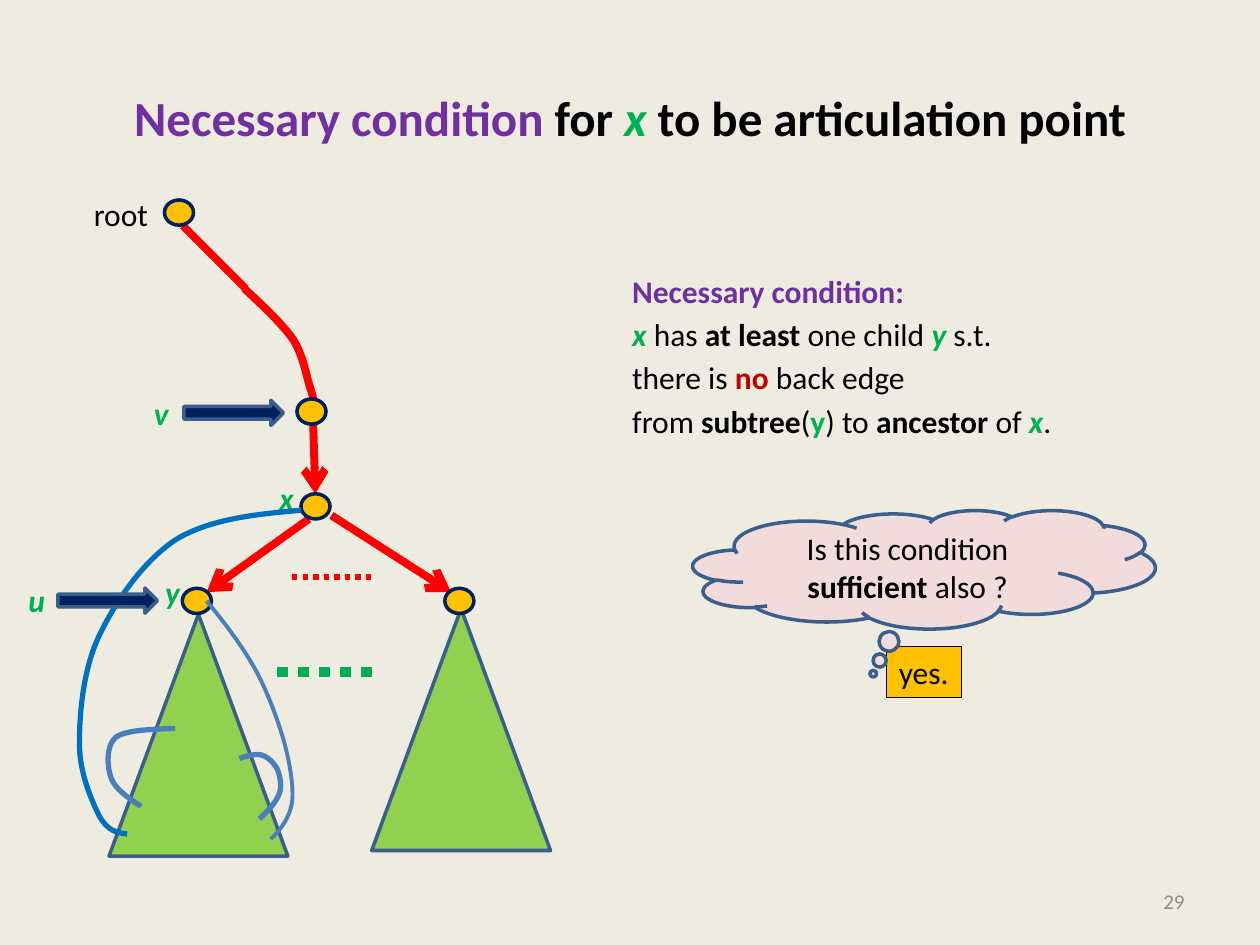
from lxml import etree
from pptx import Presentation
from pptx import util as u
from pptx.dml.color import RGBColor
from pptx.enum import dml, shapes, text
from pptx.oxml.ns import qn

Pt = u.Pt
KIND = shapes.MSO_SHAPE


class Theme:
    font = "Calibri"
    back, ink, grey = "EEECE1", "000000", "8C8C8C"
    gold, navy, rim = "FFC000", "002060", "3A5F8C"
    leaf, pink = "92D050", "F2DCDB"
    red, dark, green, violet = "FF0000", "C00000", "00B050", "7030A0"
    blue, steel = "0070C0", "4B7EBC"
    head, body, small = 28, 18, 12


T = Theme

# Text runs: (words, style letters, colour); b = bold, i = italic
TITLE = [[("Necessary condition ", "b", T.violet), ("for ", "b", T.ink),
          ("x ", "bi", T.green), ("to be articulation point", "b", T.ink)]]
CLAIM = [
    [("Necessary condition:", "b", T.violet)],
    [("x", "bi", T.green), (" has ", "", T.ink), ("at least ", "b", T.ink),
     ("one child ", "", T.ink), ("y ", "bi", T.green), ("s.t.", "", T.ink)],
    [("there is ", "", T.ink), ("no", "b", T.dark), (" back edge", "", T.ink)],
    [("from ", "", T.ink), ("subtree", "b", T.ink), ("(", "", T.ink),
     ("y", "b", T.green), (") to ", "", T.ink), ("ancestor", "b", T.ink),
     (" of ", "", T.ink), ("x", "bi", T.green), (".", "", T.ink)],
]
ASK = [[("Is this condition ", "", T.ink), ("sufficient ", "b", T.ink),
        ("also ?", "", T.ink)]]

# Tree parts: left, top (and width where it varies)
NODES = [(94, 114.3), (169.7, 228), (172, 282.2), (104.2, 336.2), (254.2, 336.2)]
TREES = [(62.3, 351), (212.4, 347.8)]
MARKS = [(33.1, 336), (105.1, 228.7)]
NAMES = [("x", 152.6, 270, 23), ("y", 87.3, 324, 23),
         ("u", 9.2, 328.2, 24.5), ("v", 80.8, 221.6, 23)]

# Lines: start, end, colour, weight, arrowhead, dotted
EDGES = [
    ((104.4, 128.9), (140.4, 164.9), T.red, 4.5, False, False),
    ((178.6, 230.4), (180.2, 282.2), T.red, 4.5, True, False),
    ((176.4, 296.6), (118.1, 338.4), T.red, 4.5, True, False),
    ((189.4, 294.5), (257.8, 338.4), T.red, 4.5, True, False),
    ((167, 329.8), (212.4, 329.8), T.red, 3, False, True),
    ((158.4, 384), (216.7, 384), T.green, 6, False, True),
]

# Curves: a start, then three points for each cubic piece
PATH = [(139.7, 164.9), (150.5, 175), (161.3, 185), (167.8, 194.4),
        (173.5, 203.8), (175, 214.6), (177.1, 221),
        (179.3, 227.5), (179.3, 230.4), (180, 233.3)]
BACKS = [
    ([(82, 460.7), (74.5, 456.2), (66.3, 451.6), (63.8, 445.2),
      (61.2, 438.9), (59.8, 427.4), (65.2, 422.1),
      (71.4, 417.4), (85.1, 416.5), (98.7, 415)], T.steel, 3, 3.5),
    ([(148.3, 468), (153.4, 463), (158.4, 457.9), (159.8, 452.9),
      (161.3, 448.6), (159.8, 442.8), (158.4, 439.2),
      (156.2, 435.6), (152.6, 432), (149, 431.3),
      (145.4, 430.6), (141.1, 432), (136.8, 433.4)], T.steel, 3, 0),
    ([(154.8, 479.5), (160.6, 473.8), (165.6, 467.3), (167, 457.9),
      (167.8, 448.6), (165.6, 435.6), (162, 422.6),
      (158.4, 410.4), (152.6, 394.6), (145.4, 381.6),
      (137.5, 367.9), (128.2, 355.7), (118.1, 343.4)], T.steel, 2.25, 0),
    ([(72.7, 476.6), (67, 475.9), (61.9, 475.2), (56.9, 466.6),
      (52.6, 457.9), (45.4, 442.1), (45.4, 424.8),
      (45.4, 407.5), (47.5, 382.3), (56.9, 362.9),
      (66.2, 343.4), (82.1, 320.4), (100.8, 308.2),
      (120.2, 296.6), (146.2, 293.8), (172.1, 291.6)], T.blue, 3, 0),
]

deck = Presentation()
deck.slide_width, deck.slide_height = Pt(720), Pt(540)
slide = deck.slides.add_slide(deck.slide_layouts[6])
slide.background.fill.solid()
slide.background.fill.fore_color.rgb = RGBColor.from_string(T.back)
pool = slide.shapes


def write(shape, paras, size=T.body, align="LEFT", anchor="TOP", wrap=True,
          gap=0, inset=3.6):
    frame = shape.text_frame
    frame.word_wrap = wrap
    frame.margin_top = Pt(inset)
    frame.vertical_anchor = getattr(text.MSO_ANCHOR, anchor)
    for n, runs in enumerate(paras):
        para = frame.add_paragraph() if n else frame.paragraphs[0]
        para.alignment = getattr(text.PP_ALIGN, align)
        para.space_before = Pt(gap if n else 0)
        for words, style, color in runs:
            run = para.add_run()
            run.text = words
            font = run.font
            font.name, font.size = T.font, Pt(size)
            font.bold, font.italic = "b" in style, "i" in style
            font.color.rgb = RGBColor.from_string(color)


def label(box, paras, **opts):
    write(pool.add_textbox(*map(Pt, box)), paras, **opts)


def stroke(line, color, width):
    line.color.rgb = RGBColor.from_string(color)
    line.width = Pt(width)


def block(kind, box, fill, edge=T.rim, width=2):
    shape = pool.add_shape(kind, *map(Pt, box))
    shape.shadow.inherit = False
    shape.fill.solid()
    shape.fill.fore_color.rgb = RGBColor.from_string(fill)
    stroke(shape.line, edge, width)
    return shape


def link(start, end, color, width, arrow, dots):
    wire = pool.add_connector(shapes.MSO_CONNECTOR.STRAIGHT, *map(Pt, start + end))
    stroke(wire.line, color, width)
    if dots:
        wire.line.dash_style = dml.MSO_LINE.ROUND_DOT
    if arrow:
        etree.SubElement(wire.line._get_or_add_ln(), qn("a:tailEnd"), type="arrow")
    etree.SubElement(wire._element.spPr, qn("a:effectLst"))


def curve(pts, color, width, turn=0):
    """Outline the control points, then join each three into a cubic piece."""
    pen = pool.build_freeform(*map(Pt, pts[0]))
    pen.add_line_segments([tuple(map(Pt, p)) for p in pts[1:]], close=False)
    shape = pen.convert_to_shape()
    legs = list(shape._element.iter(qn("a:lnTo")))
    for k in range(0, len(legs), 3):
        piece = etree.Element(qn("a:cubicBezTo"))
        legs[k].addprevious(piece)
        for leg in legs[k:k + 3]:
            piece.append(leg[0])
            leg.getparent().remove(leg)
    shape.shadow.inherit = False
    shape.fill.background()
    stroke(shape.line, color, width)
    shape.rotation = turn


reply = block(KIND.RECTANGLE, (506.5, 369.4, 43, 29), T.gold, T.ink, 0.75)
write(reply, [[("yes.", "", T.ink)]], wrap=False)
label((36, 21.6, 648, 90), TITLE, size=T.head, align="CENTER", anchor="MIDDLE")
label((354.2, 126, 347.8, 356.4), CLAIM, gap=3.2, inset=29.2)
label((516.2, 500.4, 167.8, 29), [[("29", "", T.grey)]],
      size=T.small, align="RIGHT", anchor="MIDDLE")

for left, top in TREES:
    block(KIND.ISOSCELES_TRIANGLE, (left, top, 102.2, 138.2), T.leaf)
curve(PATH, T.red, 4.5)
for edge in EDGES:
    link(*edge)
for left, top in NODES:
    block(KIND.OVAL, (left, top, 16.6, 14.4), T.gold, T.navy)
label((46.5, 108, 46, 29), [[("root", "", T.ink)]], wrap=False)
for name, left, top, width in NAMES:
    label((left, top, width, 29), [[(name, "bi", T.green)]], wrap=False)
for back in BACKS:
    curve(*back)
for left, top in MARKS:
    block(KIND.RIGHT_ARROW, (left, top, 56.9, 14.4), T.navy)

cloud = block(KIND.CLOUD_CALLOUT, (396, 291.6, 264.2, 67.7), T.pink)
cloud.adjustments[0], cloud.adjustments[1] = -0.11, 0.88
write(cloud, ASK, align="CENTER", anchor="MIDDLE")

deck.save("out.pptx")
